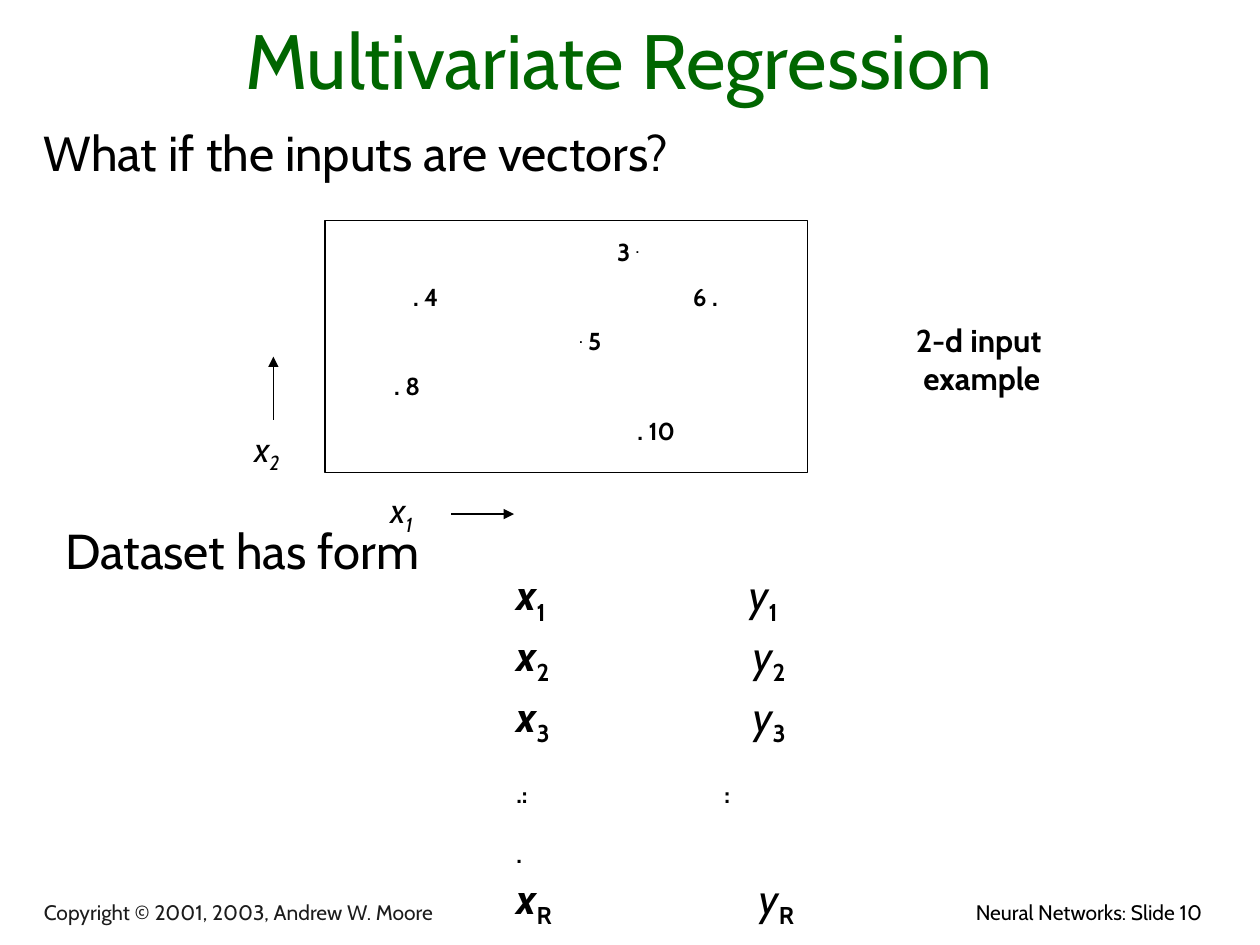
from dataclasses import dataclass

from lxml import etree
from pptx import Presentation
from pptx.dml.color import RGBColor
from pptx.enum.shapes import MSO_CONNECTOR, MSO_SHAPE
from pptx.enum.text import MSO_ANCHOR, PP_ALIGN
from pptx.oxml.ns import qn
from pptx.util import Inches, Pt

LEFT, CENTER, RIGHT = PP_ALIGN.LEFT, PP_ALIGN.CENTER, PP_ALIGN.RIGHT
TOP, BOTTOM = MSO_ANCHOR.TOP, MSO_ANCHOR.BOTTOM
STRAIGHT, RECTANGLE = MSO_CONNECTOR.STRAIGHT, MSO_SHAPE.RECTANGLE

FONT = "Cabin"
COLORS = {"ink": "000000", "title": "006600", "copyright": "1C1C1C"}
SUBSCRIPT, SUPERSCRIPT = -25, 30
ROW_GAP, ROW_PITCH = 15, 34.8


@dataclass(frozen=True)
class Run:
    text: str
    bold: bool = False
    italic: bool = False
    baseline: int = 0


@dataclass(frozen=True)
class Line:
    runs: tuple[Run, ...]
    indent: float = 0
    extra_space: float = 0


@dataclass(frozen=True)
class TextBlock:
    box: tuple[float, float, float, float]
    lines: tuple[Line, ...]
    size: float
    color: str = "ink"
    align: PP_ALIGN = LEFT
    anchor: MSO_ANCHOR = TOP
    space_before: float = 0
    line_spacing: float = 1.0
    hanging: float = 0


@dataclass(frozen=True)
class Arrow:
    start: tuple[float, float]
    end: tuple[float, float]


def plain(text: str, bold: bool = False) -> tuple[Line, ...]:
    return (Line((Run(text, bold),)),)


def axis_label(index: str) -> tuple[Line, ...]:
    return (Line((Run("x", italic=True), Run(index, italic=True, baseline=SUBSCRIPT))),)


def variable(letter: str, index: str, indent: float = 0, extra_space: float = 0) -> Line:
    name = Run(letter, bold=letter == "x", italic=True)
    return Line((name, Run(index, bold=True, baseline=SUBSCRIPT)), indent, extra_space)


def bold_line(*pieces: tuple[str, int], indent: float = 0) -> Line:
    return Line(tuple(Run(text, True, baseline=base) for text, base in pieces), indent)


POINTS = (
    bold_line(("3 ", 0), (".", SUPERSCRIPT), indent=2.13),
    bold_line((". 4", 0), indent=0.51),
    bold_line((".", SUPERSCRIPT), (" 5", 0), indent=1.83),
    bold_line((". 8", 0), indent=0.36),
    bold_line((". 10", 0), indent=2.29),
)

INPUTS = (
    *(variable("x", index) for index in "123"),
    bold_line((".:", SUBSCRIPT)),
    bold_line((".", SUBSCRIPT)),
    variable("x", "R"),
)

OUTPUTS = (
    variable("y", "1", 0.2),
    variable("y", "2", 0.23),
    variable("y", "3", 0.23),
    bold_line((":", SUBSCRIPT)),
    variable("y", "R", 0.28, ROW_PITCH),
)

TEXT_BLOCKS = (
    TextBlock((5.72, 7.09, 3.92, 0.33), plain("Neural Networks: Slide 10"), 12, align=RIGHT),
    TextBlock((0.25, 7.11, 5.55, 0.28), plain("Copyright © 2001, 2003, Andrew W. Moore"),
              12, "copyright", anchor=BOTTOM),
    TextBlock((0.25, 0.17, 9.33, 0.71), plain("Multivariate Regression"),
              44, "title", CENTER, BOTTOM),
    TextBlock((0.25, 0.92, 9.38, 0.74), plain("What if the inputs are vectors?"), 28),
    TextBlock((0.42, 4.08, 7.08, 0.57), plain("Dataset has form"), 28),
    TextBlock((4, 4.58, 1.5, 2.78), INPUTS, 24, space_before=ROW_GAP, line_spacing=0.6),
    TextBlock((5.65, 4.58, 1.93, 2.78), OUTPUTS, 24, space_before=ROW_GAP, line_spacing=0.6),
    TextBlock((2.67, 1.83, 3.83, 1.76), POINTS, 14, space_before=8.8),
    TextBlock((5.4, 2.19, 0.6, 0.34), plain("6 .", True), 14),
    TextBlock((7.17, 2.5, 1.83, 0.7), plain("2-d input example", True), 18, hanging=0.06),
    TextBlock((3, 3.83, 1.33, 0.48), axis_label("1"), 20),
    TextBlock((1.92, 3.34, 0.5, 0.48), axis_label("2"), 20),
)

AXIS_ARROWS = (Arrow((3.58, 4.08), (4.08, 4.08)), Arrow((2.17, 3.33), (2.17, 2.83)))


def rgb(name: str) -> RGBColor:
    return RGBColor.from_string(COLORS[name])


def add_text_block(slide, block: TextBlock) -> None:
    frame = slide.shapes.add_textbox(*map(Inches, block.box)).text_frame
    frame.word_wrap = True
    frame.vertical_anchor = block.anchor
    for number, line in enumerate(block.lines):
        paragraph = frame.add_paragraph() if number else frame.paragraphs[0]
        paragraph.alignment = block.align
        paragraph.line_spacing = block.line_spacing
        paragraph.space_before = Pt(block.space_before + line.extra_space if number else 0)
        properties = paragraph._p.get_or_add_pPr()
        properties.set("marL", str(Inches(line.indent + block.hanging)))
        properties.set("indent", str(-Inches(block.hanging)))
        for piece in line.runs:
            run = paragraph.add_run()
            run.text = piece.text
            run.font.name = FONT
            run.font.size = Pt(block.size)
            run.font.bold = piece.bold
            run.font.italic = piece.italic
            run.font.color.rgb = rgb(block.color)
            if piece.baseline:
                run._r.get_or_add_rPr().set("baseline", str(piece.baseline * 1000))


def add_plot_frame(slide) -> None:
    frame = slide.shapes.add_shape(RECTANGLE, *map(Inches, (2.58, 1.75, 3.83, 2)))
    frame.shadow.inherit = False
    frame.fill.background()
    frame.line.color.rgb = rgb("ink")
    frame.line.width = Pt(0.75)


def add_arrow(slide, arrow: Arrow) -> None:
    connector = slide.shapes.add_connector(STRAIGHT, *map(Inches, arrow.start + arrow.end))
    connector.line.color.rgb = rgb("ink")
    connector.line.width = Pt(0.75)
    etree.SubElement(connector.line._get_or_add_ln(), qn("a:tailEnd"), type="triangle")
    etree.SubElement(connector._element.spPr, qn("a:effectLst"))


def main() -> None:
    presentation = Presentation()
    presentation.slide_width = Inches(10)
    presentation.slide_height = Inches(7.5)
    slide = presentation.slides.add_slide(presentation.slide_layouts[6])
    for block in TEXT_BLOCKS:
        add_text_block(slide, block)
    add_plot_frame(slide)
    for arrow in AXIS_ARROWS:
        add_arrow(slide, arrow)
    presentation.save("out.pptx")


if __name__ == "__main__":
    main()
